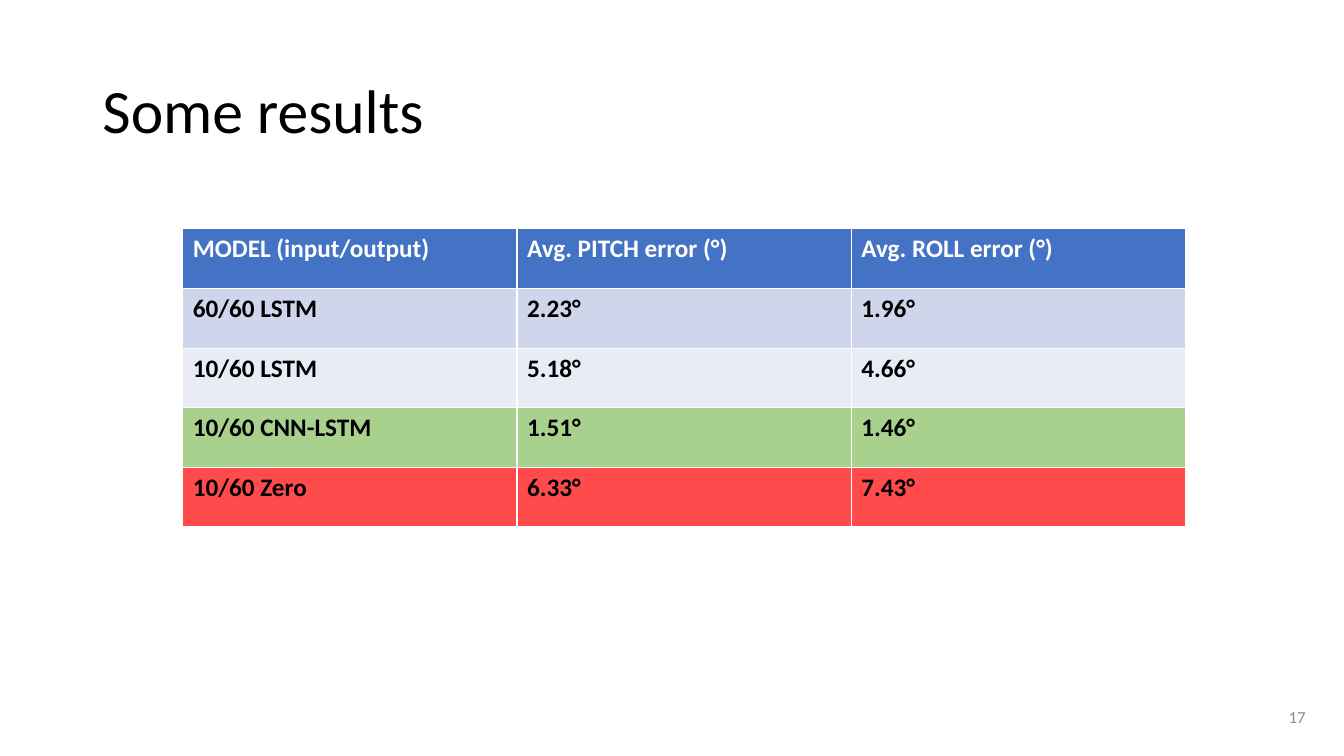
from dataclasses import dataclass

from pptx import Presentation
from pptx.dml.color import RGBColor
from pptx.enum.text import MSO_ANCHOR, PP_ALIGN
from pptx.util import Inches, Pt

GRID_COLUMNS, GRID_ROWS = 160, 90
TITLE_ONLY = 5


@dataclass(frozen=True)
class Theme:
    font: str = "Calibri"
    title_size: int = 44
    table_size: int = 18
    number_size: int = 12
    ink: str = "000000"
    paper: str = "FFFFFF"
    muted: str = "8C8C8C"
    header: str = "4472C4"
    band_dark: str = "CFD5EA"
    band_light: str = "E9EBF5"
    best: str = "A9D18E"
    worst: str = "FF4B4B"


class ResultsSlide:
    def __init__(self, deck, theme):
        self.theme = theme
        self.column = deck.slide_width / GRID_COLUMNS
        self.row = deck.slide_height / GRID_ROWS
        self.slide = deck.slides.add_slide(deck.slide_layouts[TITLE_ONLY])

    def area(self, left, top, width, height):
        """Turn grid columns and rows into slide lengths."""
        return (int(left * self.column), int(top * self.row),
                int(width * self.column), int(height * self.row))

    def style_text(self, frame, text, size, color, bold=False, align=PP_ALIGN.LEFT):
        frame.text = text
        paragraph = frame.paragraphs[0]
        paragraph.alignment = align
        font = paragraph.runs[0].font
        font.name = self.theme.font
        font.size = Pt(size)
        font.bold = bold
        font.color.rgb = RGBColor.from_string(color)
        return paragraph

    def title(self, text, *place):
        heading = self.slide.shapes.title
        heading.left, heading.top, heading.width, heading.height = self.area(*place)
        heading.text_frame.vertical_anchor = MSO_ANCHOR.MIDDLE
        paragraph = self.style_text(heading.text_frame, text,
                                    self.theme.title_size, self.theme.ink)
        paragraph.line_spacing = 0.9

    def table(self, records, *place):
        """Each record is a fill, a text colour and the row's values."""
        grid = self.slide.shapes.add_table(
            len(records), len(records[0][2]), *self.area(*place)).table
        for row, (fill, color, values) in zip(grid.rows, records):
            for cell, value in zip(row.cells, values):
                cell.fill.solid()
                cell.fill.fore_color.rgb = RGBColor.from_string(fill)
                self.style_text(cell.text_frame, value, self.theme.table_size,
                                color, bold=True)

    def page_number(self, text, *place):
        number = self.slide.shapes.add_textbox(*self.area(*place))
        number.text_frame.word_wrap = True
        number.text_frame.vertical_anchor = MSO_ANCHOR.MIDDLE
        self.style_text(number.text_frame, text, self.theme.number_size,
                        self.theme.muted, align=PP_ALIGN.RIGHT)


def main():
    deck = Presentation()
    deck.slide_width, deck.slide_height = Inches(13.33), Inches(7.5)
    theme = Theme()
    results = ResultsSlide(deck, theme)

    # Heading
    results.title("Some results", 11, 4.8, 145.3, 17.4)

    # Model errors, with the best and worst models highlighted
    model_errors = [
        (theme.header, theme.paper,
         ("MODEL (input/output)", "Avg. PITCH error (°)", "Avg. ROLL error (°)")),
        (theme.band_dark, theme.ink, ("60/60 LSTM", "2.23°", "1.96°")),
        (theme.band_light, theme.ink, ("10/60 LSTM", "5.18°", "4.66°")),
        (theme.best, theme.ink, ("10/60 CNN-LSTM", "1.51°", "1.46°")),
        (theme.worst, theme.ink, ("10/60 Zero", "6.33°", "7.43°")),
    ]
    results.table(model_errors, 21.75, 27.25, 119.4, 35.5)

    # Footer
    results.page_number("17", 129.6, 82.9, 27, 4.8)

    deck.save("out.pptx")


if __name__ == "__main__":
    main()
